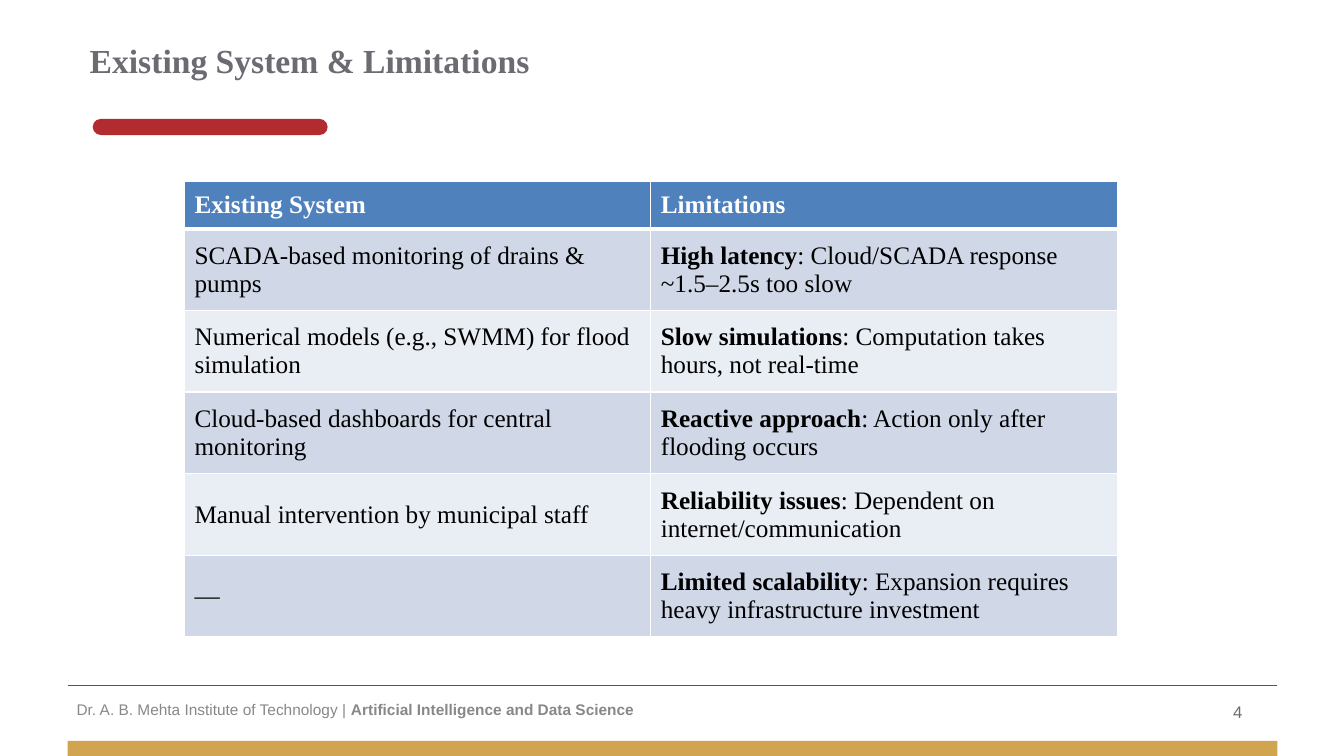
from lxml.etree import SubElement
from pptx import Presentation
from pptx.dml.color import RGBColor
from pptx.enum.shapes import MSO_CONNECTOR, MSO_SHAPE
from pptx.enum.text import MSO_ANCHOR
from pptx.oxml import parse_xml
from pptx.oxml.ns import nsdecls, qn
from pptx.util import Inches, Pt

TITLE = "Existing System & Limitations"
FOOTER = [("Dr. A. B. Mehta Institute of Technology | ", False),
          ("Artificial Intelligence and Data Science", True)]
PAGE_NUMBER = "4"

# Each cell is a bold lead followed by plain text.
ROWS = [
    [("Existing System", ""), ("Limitations", "")],
    [("", "SCADA-based monitoring of drains & pumps"),
     ("High latency", ": Cloud/SCADA response ~1.5–2.5s too slow")],
    [("", "Numerical models (e.g., SWMM) for flood simulation"),
     ("Slow simulations", ": Computation takes hours, not real-time")],
    [("", "Cloud-based dashboards for central monitoring"),
     ("Reactive approach", ": Action only after flooding occurs")],
    [("", "Manual intervention by municipal staff"),
     ("Reliability issues", ": Dependent on internet/communication")],
    [("", "—"),
     ("Limited scalability", ": Expansion requires heavy infrastructure investment")],
]

WIDTH, HEIGHT = 13.33, 7.5
MARGIN = 0.67
BAND_WIDTH, BAND_HEIGHT = 12, 0.15
RULE_TOP = 6.8
TABLE_LEFT, TABLE_TOP, TABLE_WIDTH = 1.83, 1.8, 9.25
HEADER_HEIGHT, ROW_HEIGHT = 0.47, 0.81

RED, GOLD, GREY, LIGHT_GREY = "B22B2F", "D1A550", "6B6C71", "888888"
WHITE, BLACK = "FFFFFF", "000000"
HEADER_FILL, BANDS = "4F81BD", ("D0D8E8", "E9EDF4")
SERIF, SANS = "Times New Roman", "Arial"


def rgb(color):
    return RGBColor.from_string(color)


def add_runs(paragraph, runs, font, size, color):
    """Add the non-empty (text, bold) pairs as formatted runs."""
    for text, bold in runs:
        if text:
            run = paragraph.add_run()
            run.text = text
            run.font.name, run.font.size, run.font.bold = font, Pt(size), bold
            run.font.color.rgb = rgb(color)


def add_text(slide, box, runs, font, size, color, indent=0.01):
    text_box = slide.shapes.add_textbox(*map(Inches, box))
    frame = text_box.text_frame
    frame.word_wrap = True
    frame.margin_left, frame.margin_top = Inches(indent), Inches(0.01)
    frame.margin_right = frame.margin_bottom = 0
    paragraph = frame.paragraphs[0]
    paragraph.space_before = Pt(1)
    add_runs(paragraph, runs, font, size, color)


def add_block(slide, preset, box, color):
    shape = slide.shapes.add_shape(preset, *map(Inches, box))
    shape.shadow.inherit = False
    shape.fill.solid()
    shape.fill.fore_color.rgb = rgb(color)
    shape.line.fill.background()
    return shape


def add_rule(slide):
    left, right, top = Inches(MARGIN), Inches(MARGIN + BAND_WIDTH), Inches(RULE_TOP)
    rule = slide.shapes.add_connector(MSO_CONNECTOR.STRAIGHT, left, top, right, top)
    rule.line.color.rgb = rgb(RED)
    rule.line.width = Pt(0.75)
    SubElement(rule._element.spPr, qn("a:effectLst"))


def set_borders(cell, top, bottom):
    """Draw white borders; they must precede the fill in the cell properties."""
    widths = {"lnL": 1, "lnR": 1, "lnT": top, "lnB": bottom}
    for position, (side, width) in enumerate(widths.items()):
        border = parse_xml(
            f'<a:{side} {nsdecls("a")} w="{Pt(width)}"><a:solidFill>'
            f'<a:srgbClr val="{WHITE}"/></a:solidFill></a:{side}>')
        cell._tc.get_or_add_tcPr().insert(position, border)


def add_comparison_table(slide):
    heights = [HEADER_HEIGHT] + [ROW_HEIGHT] * (len(ROWS) - 1)
    columns = len(ROWS[0])
    box = TABLE_LEFT, TABLE_TOP, TABLE_WIDTH, sum(heights)
    table = slide.shapes.add_table(len(ROWS), columns, *map(Inches, box)).table
    for column in table.columns:
        column.width = Inches(TABLE_WIDTH / columns)
    for r, (row, height) in enumerate(zip(ROWS, heights)):
        table.rows[r].height = Inches(height)
        for c, (lead, rest) in enumerate(row):
            cell = table.cell(r, c)
            cell.vertical_anchor = MSO_ANCHOR.MIDDLE
            cell.fill.solid()
            cell.fill.fore_color.rgb = rgb(BANDS[(r - 1) % 2] if r else HEADER_FILL)
            set_borders(cell, top=3 if r == 1 else 1, bottom=3 if r == 0 else 1)
            add_runs(cell.text_frame.paragraphs[0], [(lead, True), (rest, False)],
                     SERIF, 18, BLACK if r else WHITE)


def main():
    presentation = Presentation()
    presentation.slide_width, presentation.slide_height = Inches(WIDTH), Inches(HEIGHT)
    slide = presentation.slides.add_slide(presentation.slide_layouts[6])

    accent = add_block(slide, MSO_SHAPE.ROUNDED_RECTANGLE, (0.92, 1.18, 2.33, 0.16), RED)
    accent.adjustments[0] = 0.5
    add_block(slide, MSO_SHAPE.RECTANGLE,
              (MARGIN, HEIGHT - BAND_HEIGHT, BAND_WIDTH, BAND_HEIGHT), GOLD)
    add_rule(slide)
    add_text(slide, (0.75, 6.94, 5.6, 0.2), FOOTER, SANS, 11, LIGHT_GREY)
    add_text(slide, (12.22, 6.95, 0.12, 0.23), [(PAGE_NUMBER, False)], SANS, 12, GREY)
    add_text(slide, (0.58, 0.39, 6.81, 0.42), [(TITLE, True)], SERIF, 24, GREY, indent=0.31)
    add_comparison_table(slide)
    presentation.save("out.pptx")


if __name__ == "__main__":
    main()
